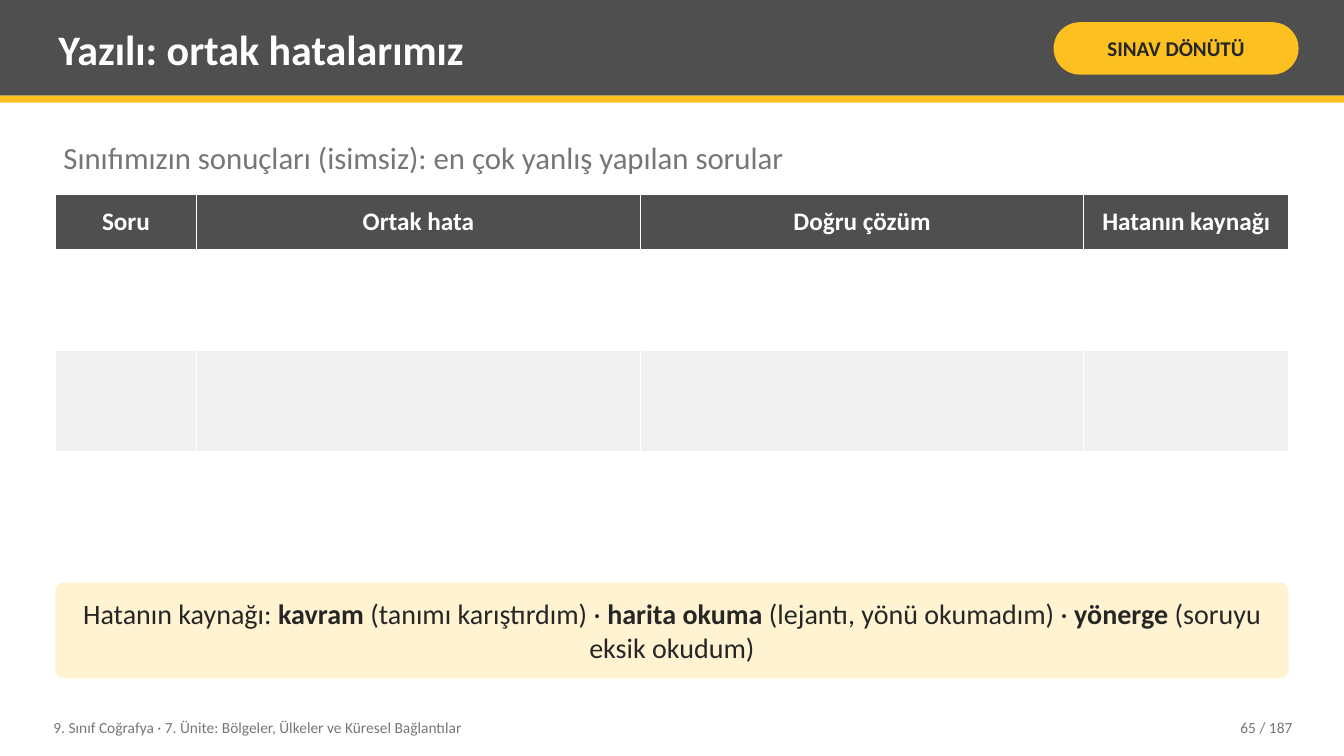
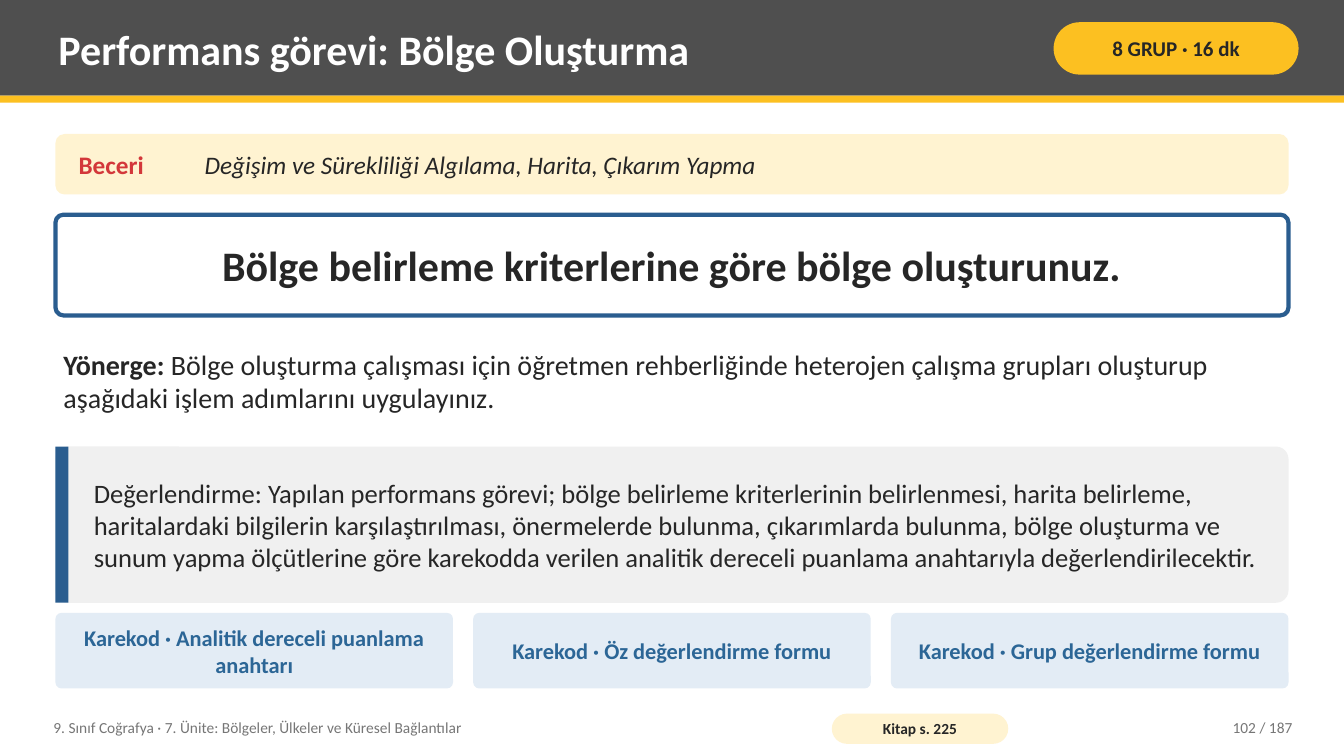
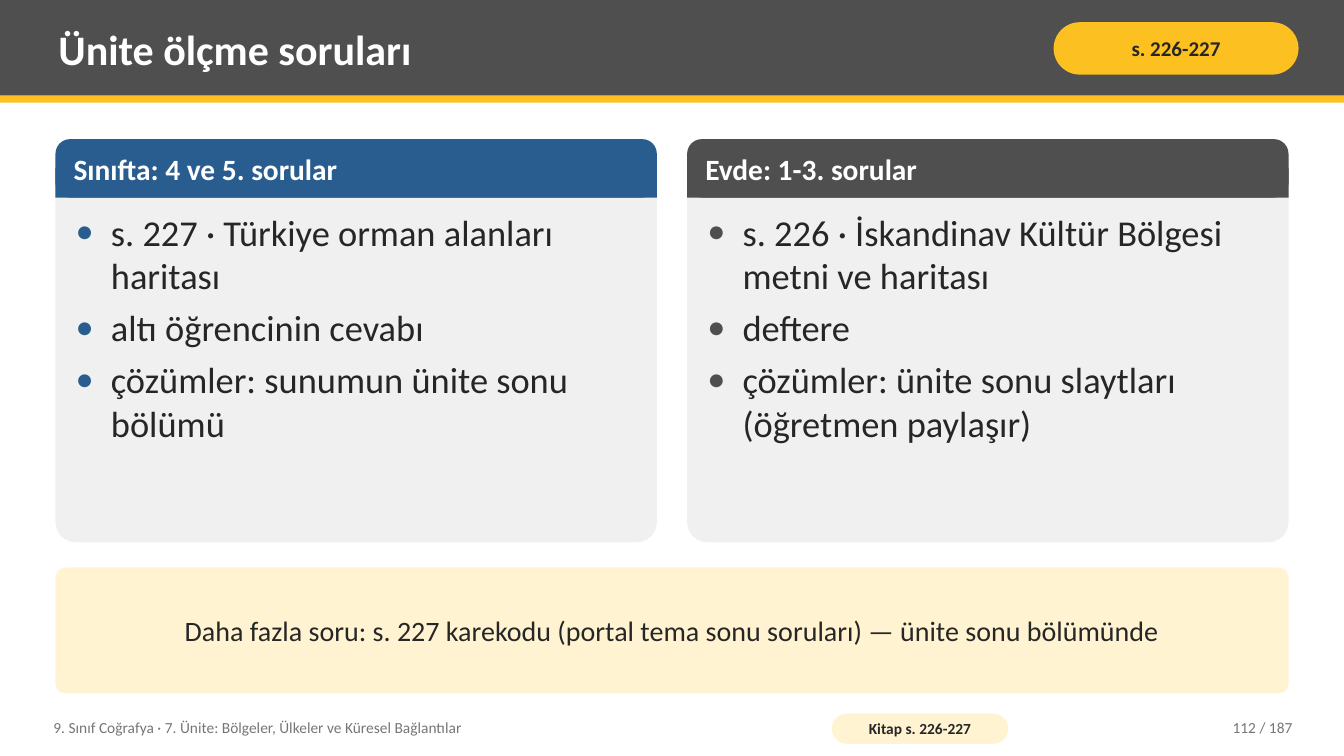
from lxml import etree
from pptx import Presentation
from pptx.dml.color import RGBColor
from pptx.enum import shapes, text
from pptx.oxml import ns
from pptx.util import Emu, Pt

# Scale and shared look: 100 px to the inch
EMU_PER_PX = 9144
PAGE_W, PAGE_H = 1333, 750
LEFT, WIDTH = 55, 1223
FONT = "Calibri"
COLORS = {
    "dark": "4F4F4F", "yellow": "FCC021", "cream": "FFF3D1", "pale": "F0F0F0",
    "white": "FFFFFF", "ink": "262626", "grey": "767676", "red": "D3373A",
    "blue": "2A5D8F", "ice": "E3ECF5", "link": "2C6696",
}
TEXT_PAD, BOX_PAD, WIDE_PAD = (8, 4), (14, 8), (22, 8)
RECT = shapes.MSO_SHAPE.RECTANGLE
ROUND = shapes.MSO_SHAPE.ROUNDED_RECTANGLE
CENTER, RIGHT = text.PP_ALIGN.CENTER, text.PP_ALIGN.RIGHT

# Content
FOOTER = "9. Sınıf Coğrafya · 7. Ünite: Bölgeler, Ülkeler ve Küresel Bağlantılar"
PAGE_COUNT = 187

MISTAKES = {
    "title": "Yazılı: ortak hatalarımız", "badge": "SINAV DÖNÜTÜ",
    "number": 65, "book": None,
    "intro": "Sınıfımızın sonuçları (isimsiz): en çok yanlış yapılan sorular",
    "columns": [("Soru", 140), ("Ortak hata", 440), ("Doğru çözüm", 440),
                ("Hatanın kaynağı", 203)],
    "row_heights": [55, 100, 100, 100],
    "row_fills": ["dark", "white", "pale", "white"],
    "sources": [
        ("Hatanın kaynağı: ", False), ("kavram", True),
        (" (tanımı karıştırdım) · ", False), ("harita okuma", True),
        (" (lejantı, yönü okumadım) · ", False), ("yönerge", True),
        (" (soruyu eksik okudum)", False),
    ],
}
TASK = {
    "title": "Performans görevi: Bölge Oluşturma", "badge": "8 GRUP · 16 dk",
    "number": 102, "book": "Kitap s. 225",
    "skill": ("Beceri", "Değişim ve Sürekliliği Algılama, Harita, Çıkarım Yapma"),
    "goal": "Bölge belirleme kriterlerine göre bölge oluşturunuz.",
    "instruction": [
        ("Yönerge:", True),
        (" Bölge oluşturma çalışması için öğretmen rehberliğinde heterojen çalışma "
         "grupları oluşturup aşağıdaki işlem adımlarını uygulayınız.", False),
    ],
    "grading": (
        "Değerlendirme: Yapılan performans görevi; bölge belirleme kriterlerinin "
        "belirlenmesi, harita belirleme, haritalardaki bilgilerin karşılaştırılması, "
        "önermelerde bulunma, çıkarımlarda bulunma, bölge oluşturma ve sunum yapma "
        "ölçütlerine göre karekodda verilen analitik dereceli puanlama anahtarıyla "
        "değerlendirilecektir."),
    "forms": ["Karekod · Analitik dereceli puanlama anahtarı",
              "Karekod · Öz değerlendirme formu",
              "Karekod · Grup değerlendirme formu"],
}
QUESTIONS = {
    "title": "Ünite ölçme soruları", "badge": "s. 226-227",
    "number": 112, "book": "Kitap s. 226-227",
    "cards": [
        ("Sınıfta: 4 ve 5. sorular", "blue",
         ["s. 227 · Türkiye orman alanları haritası", "altı öğrencinin cevabı",
          "çözümler: sunumun ünite sonu bölümü"]),
        ("Evde: 1-3. sorular", "dark",
         ["s. 226 · İskandinav Kültür Bölgesi metni ve haritası", "deftere",
          "çözümler: ünite sonu slaytları (öğretmen paylaşır)"]),
    ],
    "more": "Daha fazla soru: s. 227 karekodu (portal tema sonu soruları) — ünite sonu bölümünde",
}


# Helpers
def px(length):
    return Emu(round(length * EMU_PER_PX))


def rgb(name):
    return RGBColor.from_string(COLORS[name])


def set_all(target, values):
    for name, value in values.items():
        setattr(target, name, value)


def columns(count, gap):
    width = (WIDTH - gap * (count - 1)) / count
    return [(LEFT + i * (width + gap), width) for i in range(count)]


def move(shape, area):
    set_all(shape, dict(zip(("left", "top", "width", "height"), map(px, area))))


def set_frame(frame, pad=TEXT_PAD, anchor=text.MSO_ANCHOR.MIDDLE):
    across, down = map(px, pad)
    set_all(frame, {
        "margin_left": across, "margin_right": across, "margin_top": down,
        "margin_bottom": down, "word_wrap": True, "vertical_anchor": anchor,
        "auto_size": text.MSO_AUTO_SIZE.NONE})


def write(para, words, size, color="ink", align=text.PP_ALIGN.LEFT, bold=False, italic=False):
    """Words are one string, or a list of (string, bold) spans."""
    para.alignment = align
    for words_part, heavy in [(words, bold)] if isinstance(words, str) else words:
        span = para.add_run()
        span.text = words_part
        set_all(span.font, {"name": FONT, "size": Pt(size), "bold": heavy, "italic": italic})
        span.font.color.rgb = rgb(color)


def add_box(page, area, fill, corner=None, line=None):
    box = page.shapes.add_shape(RECT if corner is None else ROUND, *map(px, area))
    box.shadow.inherit = False
    if corner is not None:
        box.adjustments[0] = corner
    box.fill.solid()
    box.fill.fore_color.rgb = rgb(fill)
    if line:
        box.line.color.rgb = rgb(line)
        box.line.width = Pt(3)
    else:
        box.line.fill.background()
    return box


def add_label(page, area, words, size, **look):
    label = page.shapes.add_textbox(*map(px, area))
    set_frame(label.text_frame)
    write(label.text_frame.paragraphs[0], words, size, **look)


def add_panel(page, area, fill, words, size, corner=0.08, pad=BOX_PAD, line=None, **look):
    box = add_box(page, area, fill, corner, line)
    set_frame(box.text_frame, pad)
    write(box.text_frame.paragraphs[0], words, size, align=CENTER, **look)


def add_bullet(para, color):
    props = para._p.get_or_add_pPr()
    indents = {"marL": str(px(35)), "indent": str(px(-35))}
    for name, value in indents.items():
        props.set(name, value)
    tint = etree.SubElement(props, ns.qn("a:buClr"))
    etree.SubElement(tint, ns.qn("a:srgbClr"), val=COLORS[color])
    etree.SubElement(props, ns.qn("a:buFont"), typeface=FONT)
    etree.SubElement(props, ns.qn("a:buChar"), char="•")


def add_borders(cell):
    props = cell._tc.get_or_add_tcPr()
    for index, side in enumerate(("lnL", "lnR", "lnT", "lnB")):
        line = etree.Element(ns.qn("a:" + side), w=str(Pt(0.96)))
        paint = etree.SubElement(line, ns.qn("a:solidFill"))
        etree.SubElement(paint, ns.qn("a:srgbClr"), val=COLORS["white"])
        props.insert(index, line)


def start_page(deck, layout_name, content):
    """Header band, title, badge and footer of every page."""
    page = deck.slides.add_slide(deck.slide_layouts.get_by_name(layout_name))
    add_box(page, (0, 0, PAGE_W, 95), "dark")
    stripe = add_box(page, (0, 95, PAGE_W, 7), "yellow")
    title = page.shapes.title
    stripe.element.addnext(title.element)
    move(title, (50, 7, 975, 82))
    set_frame(title.text_frame)
    write(title.text_frame.paragraphs[0], content["title"], 30, "white", bold=True)
    add_panel(page, (1045, 22, 243, 52), "yellow", content["badge"], 15,
              corner=0.5, pad=(5, 2), bold=True)
    add_label(page, (45, 704, 760, 36), FOOTER, 11, color="grey")
    if content["book"]:
        add_panel(page, (825, 708, 175, 30), "cream", content["book"], 11,
                  corner=0.5, pad=(4, 0), bold=True)
    add_label(page, (1130, 704, 160, 36), f"{content['number']} / {PAGE_COUNT}", 11,
              color="grey", align=RIGHT)
    return page


# Pages
def build_mistakes(deck):
    content = MISTAKES
    page = start_page(deck, "Title Only", content)
    add_label(page, (LEFT, 128, WIDTH, 55), content["intro"], 22, color="grey")

    heights, heads = content["row_heights"], content["columns"]
    area = (LEFT, 193, WIDTH, sum(heights))
    table = page.shapes.add_table(len(heights), len(heads), *map(px, area)).table
    for column, (_, width) in zip(table.columns, heads):
        column.width = px(width)
    for row, height, fill in zip(table.rows, heights, content["row_fills"]):
        row.height = px(height)
        for cell in row.cells:
            cell.fill.solid()
            cell.fill.fore_color.rgb = rgb(fill)
            add_borders(cell)
    for cell, (head, _) in zip(table.rows[0].cells, heads):
        set_all(cell, {"margin_left": px(6), "margin_right": px(6), "margin_top": px(5),
                       "margin_bottom": px(5), "vertical_anchor": text.MSO_ANCHOR.MIDDLE})
        write(cell.text_frame.paragraphs[0], head, 18, "white", CENTER, bold=True)

    add_panel(page, (LEFT, 578, WIDTH, 95), "cream", content["sources"], 20)


def build_task(deck):
    content = TASK
    page = start_page(deck, "Title Only", content)
    # Skill strip
    name, skills = content["skill"]
    add_box(page, (LEFT, 133, WIDTH, 60), "cream", 0.15)
    add_label(page, (70, 133, 125, 60), name, 18, color="red", bold=True)
    add_label(page, (195, 133, 1063, 60), skills, 18, italic=True)
    # Goal and instruction
    add_panel(page, (LEFT, 213, WIDTH, 100), "white", content["goal"], 30,
              line="blue", bold=True)
    add_label(page, (LEFT, 328, WIDTH, 100), content["instruction"], 20)
    # Grading note with a side bar
    add_box(page, (LEFT, 443, WIDTH, 155), "pale", 0.08)
    add_box(page, (LEFT, 443, 13, 155), "blue")
    add_label(page, (85, 443, 1178, 155), content["grading"], 19)
    # Forms
    for form, (left, width) in zip(content["forms"], columns(3, 20)):
        add_panel(page, (left, 608, width, 75), "ice", form, 16, color="link", bold=True)


def build_questions(deck):
    content = QUESTIONS
    page = start_page(deck, "Two Content", content)
    bodies = [holder for holder in page.placeholders if holder.placeholder_format.idx > 0]
    for card, body, (left, width) in zip(content["cards"], bodies, columns(2, 30)):
        head, color, items = card
        add_box(page, (left, 138, width, 400), "pale", 0.05)
        add_box(page, (left, 138, width, 58), color, 0.25)
        base = add_box(page, (left, 167, width, 29), color)
        add_label(page, (left + 10, 138, width - 20, 58), head, 21, color="white", bold=True)
        base.element.addnext(body.element)
        move(body, (left + 12, 204, width - 24, 326))
        frame = body.text_frame
        set_frame(frame, anchor=text.MSO_ANCHOR.TOP)
        for index, item in enumerate(items):
            para = frame.add_paragraph() if index else frame.paragraphs[0]
            add_bullet(para, color)
            set_all(para, {"space_before": Pt(0), "space_after": Pt(6)})
            write(para, item, 26)
    add_panel(page, (LEFT, 563, WIDTH, 125), "cream", content["more"], 20, pad=WIDE_PAD)


def main():
    deck = Presentation()
    set_all(deck, {"slide_width": px(PAGE_W), "slide_height": px(PAGE_H)})
    for build in (build_mistakes, build_task, build_questions):
        build(deck)
    deck.save("out.pptx")


if __name__ == "__main__":
    main()
